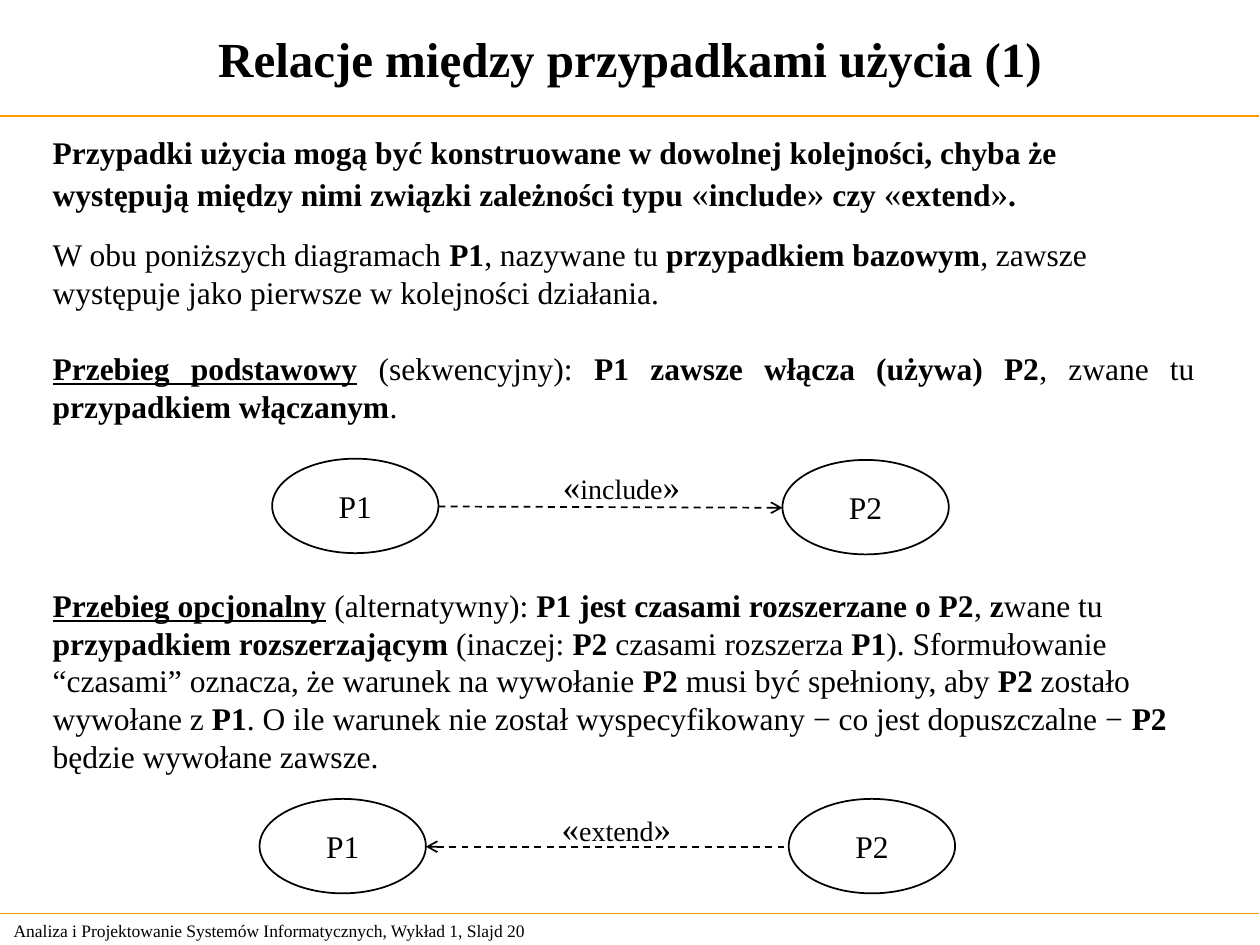
from dataclasses import dataclass

from lxml import etree
from pptx import Presentation
from pptx.dml.color import RGBColor
from pptx.enum.dml import MSO_LINE
from pptx.enum.shapes import MSO_CONNECTOR as Link, MSO_SHAPE as Preset
from pptx.enum.text import MSO_ANCHOR as Anchor, MSO_AUTO_SIZE as Fit, PP_ALIGN as Align
from pptx.oxml.ns import qn
from pptx.util import Emu, Pt

PX = 9144


@dataclass(frozen=True)
class Theme:
    face: str = "Times New Roman"
    ink: RGBColor = RGBColor(0, 0, 0)
    paper: RGBColor = RGBColor(255, 255, 255)
    rule: RGBColor = RGBColor(0xFF, 0x99, 0x00)
    heading: int = 28
    body: int = 18
    guillemet: int = 20
    stereotype: int = 16
    footer: int = 10


THEME = Theme()
PLAIN = {"size": Pt(THEME.body), "bold": False}
BOLD = {**PLAIN, "bold": True}
LEAD = {**BOLD, "underline": True}
HEADING = {"size": Pt(THEME.heading), "bold": True}
QUOTE = {"size": Pt(THEME.guillemet), "bold": False}
STEREOTYPE = {"size": Pt(THEME.stereotype)}
FOOTER = {"size": Pt(THEME.footer)}

RULE_LINE = {"width": Pt(0.75)}
DASHED_LINE = {"width": Pt(1), "dash_style": MSO_LINE.DASH}

NODE_WIDTH, NODE_HEIGHT = 132, 75

INTRO = [
    (BOLD, "Przypadki użycia mogą być konstruowane w dowolnej kolejności, chyba że "
           "występują między nimi związki zależności typu "),
    (QUOTE, "«"), (BOLD, "include"), (QUOTE, "»"), (BOLD, " czy "),
    (QUOTE, "«"), (BOLD, "extend"), (QUOTE, "»"), (BOLD, "."),
]
BASE_CASE = [
    (PLAIN, "W obu poniższych diagramach "), (BOLD, "P1"),
    (PLAIN, ", nazywane tu "), (BOLD, "przypadkiem bazowym"),
    (PLAIN, ", zawsze występuje jako pierwsze w kolejności działania."),
]
BASIC_FLOW = [
    (LEAD, "Przebieg podstawowy"), (PLAIN, " (sekwencyjny): "),
    (BOLD, "P1 zawsze włącza (używa) P2"), (PLAIN, ", zwane tu "),
    (BOLD, "przypadkiem włączanym"), (PLAIN, "."),
]
OPTIONAL_FLOW = [
    (LEAD, "Przebieg opcjonalny"), (PLAIN, " (alternatywny): "),
    (BOLD, "P1 jest czasami rozszerzane o P2"), (PLAIN, ","), (BOLD, " z"),
    (PLAIN, "wane tu "), (BOLD, "przypadkiem rozszerzającym"),
    (PLAIN, " (inaczej: "), (BOLD, "P2"), (PLAIN, " czasami rozszerza "),
    (BOLD, "P1"),
    (PLAIN, "). Sformułowanie “czasami” oznacza, że warunek na wywołanie "),
    (BOLD, "P2"), (PLAIN, " musi być spełniony, aby "), (BOLD, "P2 "),
    (PLAIN, "zostało wywołane z "), (BOLD, "P1"),
    (PLAIN, ". O ile warunek nie został wyspecyfikowany − co jest dopuszczalne − "),
    (BOLD, "P2 "), (PLAIN, "będzie wywołane zawsze."),
]


def emu(lengths):
    return [Emu(length * PX) for length in lengths]


def apply(target, values):
    for name, value in values.items():
        setattr(target, name, value)


def write(frame, runs, align=Align.LEFT, **frame_format):
    apply(frame, {"word_wrap": True, "auto_size": Fit.NONE, **frame_format})
    paragraph = frame.paragraphs[0]
    paragraph.alignment = align
    for style, words in runs:
        run = paragraph.add_run()
        run.text = words
        apply(run.font, {"name": THEME.face, **style})
        run.font.color.rgb = THEME.ink


def add_text(slide, box, runs, align=Align.LEFT, **frame_format):
    frame = slide.shapes.add_textbox(*emu(box)).text_frame
    write(frame, runs, align, **frame_format)


def add_line(slide, ends, color, line_format, arrow_end=None):
    connector = slide.shapes.add_connector(Link.STRAIGHT, *emu(ends))
    connector.line.color.rgb = color
    apply(connector.line, line_format)
    properties = connector._element.spPr
    if arrow_end:
        outline = properties.find(qn("a:ln"))
        etree.SubElement(outline, qn(f"a:{arrow_end}"), type="arrow")
    etree.SubElement(properties, qn("a:effectLst"))


def add_heading(slide, box, words):
    title = slide.shapes.title
    apply(title, dict(zip(("left", "top", "width", "height"), emu(box))))
    write(title.text_frame, [(HEADING, words)], Align.CENTER,
          vertical_anchor=Anchor.MIDDLE)
    left, top, width, height = box
    add_line(slide, (left - 1, top + height, left + width - 1, top + height),
             THEME.rule, RULE_LINE)


def add_footer(slide, box, words):
    left, top, width, height = box
    add_line(slide, (left - 1, top, left + width - 1, top), THEME.rule, RULE_LINE)
    add_text(slide, (left + 1, top, 475, height), [(FOOTER, words)],
             vertical_anchor=Anchor.MIDDLE)


def add_use_case(slide, left, top, name):
    use_case = slide.shapes.add_shape(
        Preset.OVAL, *emu((left, top, NODE_WIDTH, NODE_HEIGHT)))
    use_case.shadow.inherit = False
    use_case.fill.solid()
    use_case.fill.fore_color.rgb = THEME.paper
    use_case.line.color.rgb = THEME.ink
    use_case.line.width = Pt(1)
    write(use_case.text_frame, [(PLAIN, name)], Align.CENTER, word_wrap=False,
          vertical_anchor=Anchor.MIDDLE)


def add_relation(slide, box, label_box, stereotype, arrow_end):
    left, top, width, height = box
    second_left = left + width - NODE_WIDTH
    second_top = top + height - NODE_HEIGHT
    add_use_case(slide, left, top, "P1")
    add_use_case(slide, second_left, second_top, "P2")
    middle = NODE_HEIGHT // 2 + 1
    add_line(slide, (left + NODE_WIDTH, top + middle, second_left, second_top + middle),
             THEME.ink, DASHED_LINE, arrow_end)
    label_left, label_top, label_width, label_height = label_box
    add_text(slide, (left + label_left, top + label_top, label_width, label_height),
             [(QUOTE, "«"), (STEREOTYPE, stereotype), (QUOTE, "»")], word_wrap=False)


def main():
    deck = Presentation()
    deck.slide_width, deck.slide_height = emu((1000, 750))
    slide = deck.slides.add_slide(deck.slide_layouts[5])
    add_heading(slide, (0, 0, 1000, 92), "Relacje między przypadkami użycia (1)")
    add_text(slide, (32, 101, 919, 74), INTRO)
    add_text(slide, (32, 182, 922, 70), BASE_CASE)
    add_text(slide, (32, 272, 926, 70), BASIC_FLOW, Align.JUSTIFY)
    add_relation(slide, (216, 364, 537, 76), (221, 0, 113, 44), "include", "tailEnd")
    add_text(slide, (32, 460, 938, 160), OPTIONAL_FLOW)
    add_relation(slide, (206, 634, 552, 75), (230, 1, 107, 44), "extend", "headEnd")
    add_footer(slide, (0, 725, 1000, 27),
               "Analiza i Projektowanie Systemów Informatycznych, Wykład 1, Slajd 20")
    deck.save("out.pptx")


if __name__ == "__main__":
    main()
